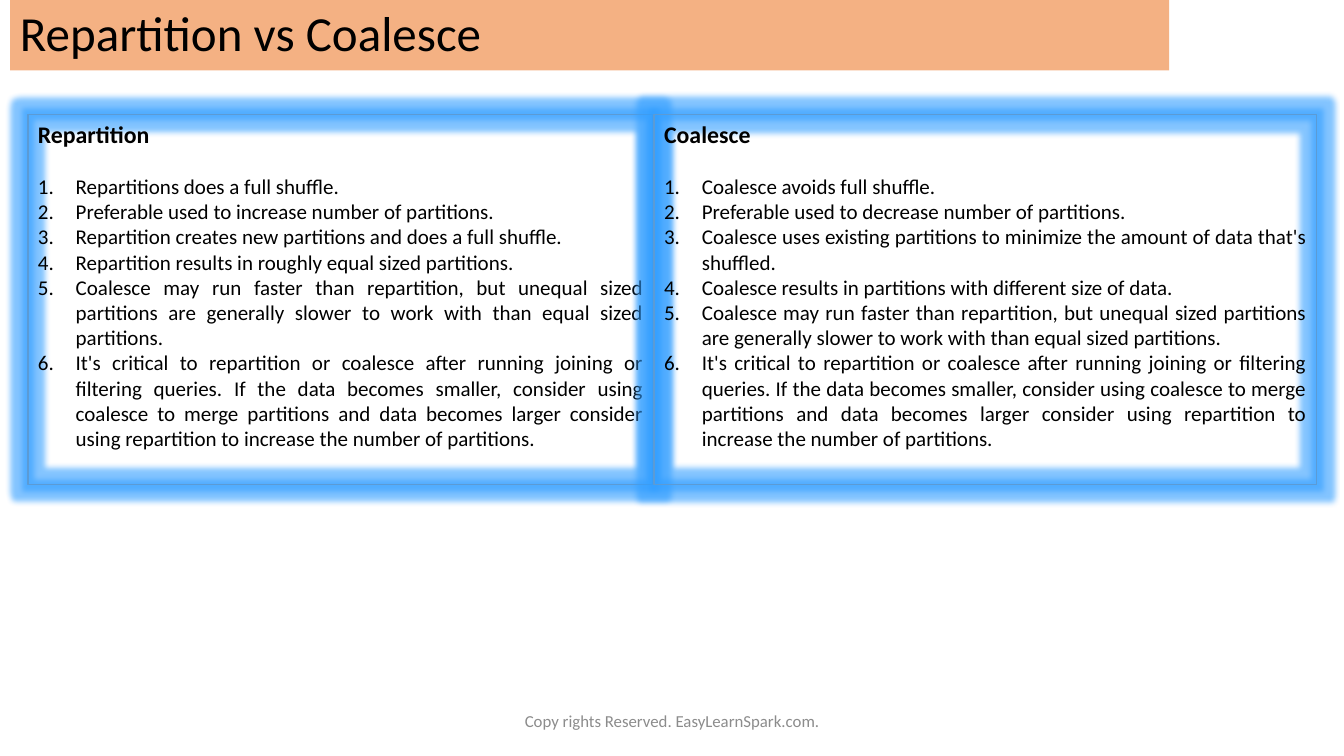
from dataclasses import dataclass

from lxml import etree
from pptx import Presentation
from pptx.dml.color import RGBColor
from pptx.enum.shapes import MSO_SHAPE
from pptx.enum.text import MSO_ANCHOR, PP_ALIGN
from pptx.oxml.ns import qn
from pptx.util import Pt

RECT = MSO_SHAPE.RECTANGLE
TOP, MIDDLE = MSO_ANCHOR.TOP, MSO_ANCHOR.MIDDLE
LEFT, CENTER, JUSTIFY = PP_ALIGN.LEFT, PP_ALIGN.CENTER, PP_ALIGN.JUSTIFY


@dataclass(frozen=True)
class Theme:
    font: str = "Calibri"
    ink: str = "000000"
    muted: str = "8C8C8C"
    band: str = "F4B183"
    edge: str = "5B9BD5"
    glow: str = "319EFF"
    title: int = 35
    head: int = 17
    body: int = 15
    foot: int = 12


SHARED = [
    "Coalesce may run faster than repartition, but unequal sized partitions are "
    "generally slower to work with than equal sized partitions.",
    "It's critical to repartition or coalesce after running joining or filtering "
    "queries. If the data becomes smaller, consider using coalesce to merge "
    "partitions and data becomes larger consider using repartition to increase "
    "the number of partitions.",
]
PANELS = [
    (20, 446.5, "Repartition", [
        "Repartitions does a full shuffle.",
        "Preferable used to increase number of partitions.",
        "Repartition creates new partitions and does a full shuffle.",
        "Repartition results in roughly equal sized partitions.",
    ]),
    (467.3, 473, "Coalesce", [
        "Coalesce avoids full shuffle.",
        "Preferable used to decrease number of partitions.",
        "Coalesce uses existing partitions to minimize the amount of data that's shuffled.",
        "Coalesce results in partitions with different size of data.",
    ]),
]


def write(para, text, *, font, size, color, bold=False, align=LEFT,
          before=0, spacing=1.0, number=False):
    para.alignment = align
    para.space_before = Pt(before)
    para.line_spacing = spacing
    if number:
        props = para._p.get_or_add_pPr()
        props.set("marL", str(Pt(27)))
        props.set("indent", str(-Pt(27)))
        etree.SubElement(props, qn("a:buAutoNum"), type="arabicPeriod")
    run = para.add_run()
    run.text = text
    run.font.name = font
    run.font.size = Pt(size)
    run.font.bold = bold
    run.font.color.rgb = RGBColor.from_string(color)


class Deck:
    def __init__(self, theme):
        self.theme = theme
        self.show = Presentation()
        self.show.slide_width, self.show.slide_height = Pt(960), Pt(540)
        self.slide = self.show.slides.add_slide(self.show.slide_layouts[6])

    def rect(self, x, y, w, h, *, fill=None, line=None, anchor=TOP):
        shape = self.slide.shapes.add_shape(RECT, Pt(x), Pt(y), Pt(w), Pt(h))
        shape.shadow.inherit = False
        if fill:
            shape.fill.solid()
            shape.fill.fore_color.rgb = RGBColor.from_string(fill)
        else:
            shape.fill.background()
        if line:
            shape.line.color.rgb = RGBColor.from_string(line)
            shape.line.width = Pt(1)
        else:
            shape.line.fill.background()
        shape.text_frame.word_wrap = True
        shape.text_frame.vertical_anchor = anchor
        return shape

    def glow(self, shape, radius):
        effects = shape._element.spPr.find(qn("a:effectLst"))
        halo = etree.SubElement(effects, qn("a:glow"), rad=str(Pt(radius)))
        color = etree.SubElement(halo, qn("a:srgbClr"), val=self.theme.glow)
        etree.SubElement(color, qn("a:alpha"), val="60000")

    def title(self, text):
        look = self.theme
        band = self.rect(7.2, 0, 828, 50.4, fill=look.band, anchor=MIDDLE)
        write(band.text_frame.paragraphs[0], text, font=look.font,
              size=look.title, color=look.ink, spacing=0.9)

    def panel(self, x, width, head, items):
        look = self.theme
        box = self.rect(x, 82, width, 264.2, line=look.edge)
        self.glow(box, 8)
        frame = box.text_frame
        style = dict(font=look.font, color=look.ink, align=JUSTIFY)
        write(frame.paragraphs[0], head, size=look.head, bold=True, **style)
        for i, item in enumerate(items):
            write(frame.add_paragraph(), item, size=look.body, number=True,
                  before=0 if i else 18, **style)

    def footer(self, text):
        look = self.theme
        box = self.slide.shapes.add_textbox(Pt(318.2), Pt(500.4), Pt(324), Pt(28.8))
        frame = box.text_frame
        frame.word_wrap = True
        frame.vertical_anchor = MIDDLE
        write(frame.paragraphs[0], text, font=look.font, size=look.foot,
              color=look.muted, align=CENTER)


def main():
    deck = Deck(Theme())
    for x, width, head, items in PANELS:
        deck.panel(x, width, head, items + SHARED)
    deck.title("Repartition vs Coalesce")
    deck.footer("Copy rights Reserved. EasyLearnSpark.com.")
    deck.show.save("out.pptx")


if __name__ == "__main__":
    main()
